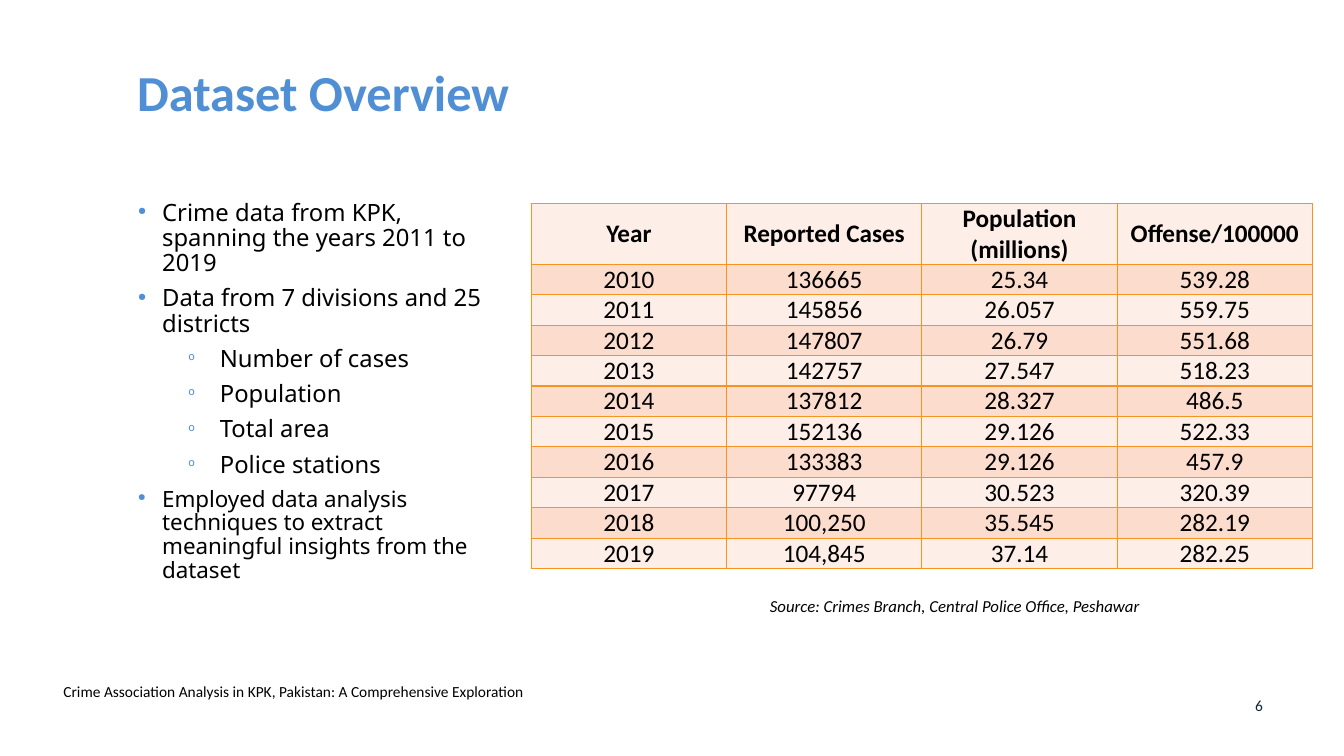
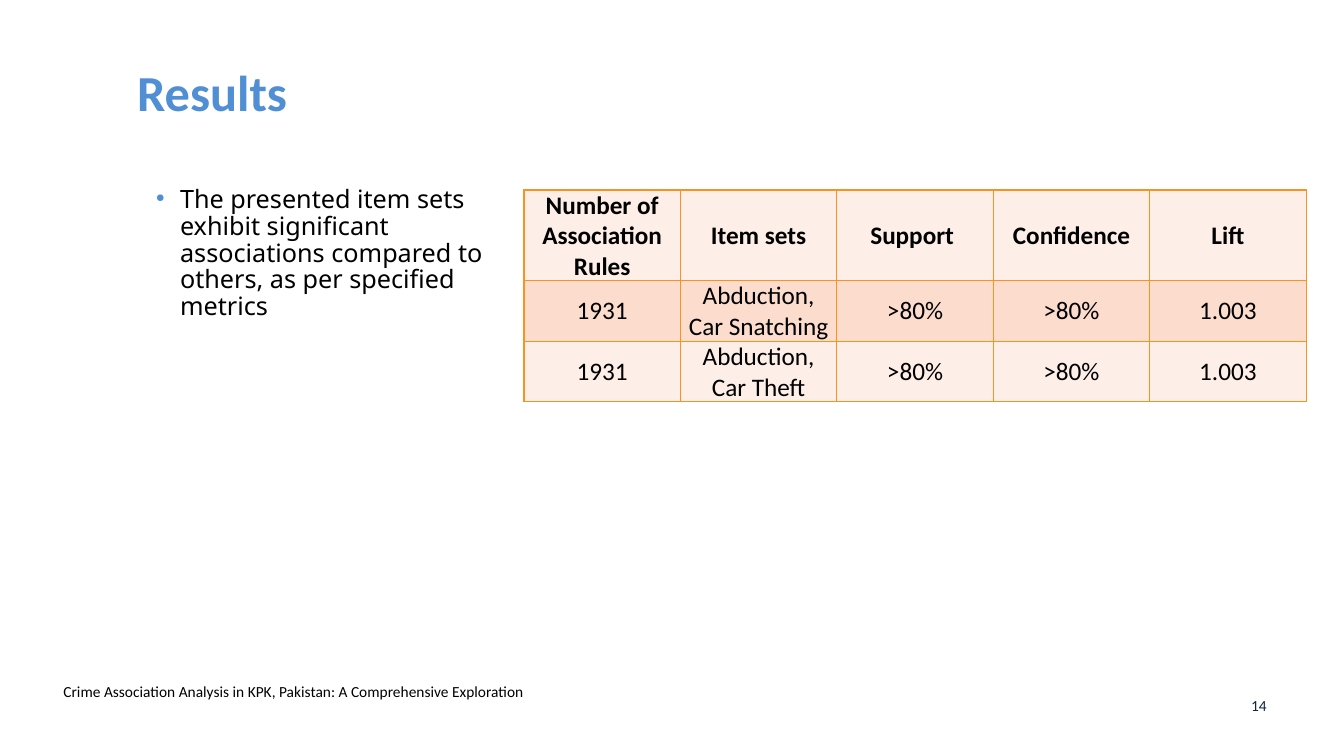
"""Build two slides on a crime dataset and its association results."""
from dataclasses import dataclass

from lxml import etree
from pptx import Presentation
from pptx import util as u
from pptx.dml.color import RGBColor
from pptx.enum import text as t
from pptx.oxml import ns

PX = 9525


@dataclass(frozen=True)
class Theme:
    """Colours, fonts and type sizes shared by the slides."""
    accent: str = "518FD5"
    ink: str = "000000"
    number: str = "0F253E"
    border: str = "F79320"
    bands: tuple = ("FDEEE8", "FCDCCD")
    font: str = "Calibri"
    body_font: str = "Noto Sans"
    title_size: int = 36
    table_size: int = 18
    note_size: int = 12
    footer_size: int = 11
    paragraph_gap: float = 7.2
    body_spacing: float = 0.88


THEME = Theme()
CENTER, LEFT = t.PP_ALIGN.CENTER, t.PP_ALIGN.LEFT
MIDDLE, TOP, BOTTOM = t.MSO_ANCHOR.MIDDLE, t.MSO_ANCHOR.TOP, t.MSO_ANCHOR.BOTTOM
BULLETS = (("●", 23, 23), ("o", 78, 30))
FOOTER = "Crime Association Analysis in KPK, Pakistan: A Comprehensive Exploration"

OVERVIEW_POINTS = [
    ("Crime data from KPK, spanning the years 2011 to 2019", 0, 17),
    ("Data from 7 divisions and 25 districts", 0, 17),
    ("Number of cases", 1, 17),
    ("Population", 1, 17),
    ("Total area", 1, 17),
    ("Police stations", 1, 17),
    ("Employed data analysis techniques to extract meaningful insights from the dataset", 0, 16),
]
RESULT_POINTS = [
    ("The presented item sets exhibit significant associations compared to others, "
     "as per specified metrics", 0, 18),
]
CRIME_ROWS = [
    ("Year", "Reported Cases", "Population (millions)", "Offense/100000"),
    ("2010", "136665", "25.34", "539.28"),
    ("2011", "145856", "26.057", "559.75"),
    ("2012", "147807", "26.79", "551.68"),
    ("2013", "142757", "27.547", "518.23"),
    ("2014", "137812", "28.327", "486.5"),
    ("2015", "152136", "29.126", "522.33"),
    ("2016", "133383", "29.126", "457.9"),
    ("2017", "97794", "30.523", "320.39"),
    ("2018", "100,250", "35.545", "282.19"),
    ("2019", "104,845", "37.14", "282.25"),
]
RULE_ROWS = [
    ("Number of Association Rules", "Item sets", "Support ", "Confidence", "Lift"),
    ("1931", "Abduction, Car Snatching", ">80%", ">80%", "1.003"),
    ("1931", "Abduction, Car Theft", ">80%", ">80%", "1.003"),
]


def px(*lengths):
    """Turn px lengths into EMU."""
    return [u.Emu(length * PX) for length in lengths]


def style(paragraph, size, color=THEME.ink, font=THEME.font, bold=False, italic=False, align=LEFT):
    """Format a paragraph and its runs."""
    paragraph.alignment = align
    for run in paragraph.runs:
        run.font.name = font
        run.font.size = u.Pt(size)
        run.font.bold = bold
        run.font.italic = italic
        run.font.color.rgb = RGBColor.from_string(color)


def add_child(parent, tag, **attributes):
    """Append a drawing element to its parent."""
    return etree.SubElement(parent, ns.qn(tag), attributes)


def add_label(slide, box, wording, size, anchor=MIDDLE, **look):
    """Add a text box with one styled paragraph."""
    frame = slide.shapes.add_textbox(*px(*box)).text_frame
    frame.word_wrap = True
    frame.vertical_anchor = anchor
    frame.text = wording
    style(frame.paragraphs[0], size, **look)
    return frame.paragraphs[0]


def add_bullets(slide, box, points):
    """Add a list of (wording, level, size) points."""
    frame = slide.shapes.add_textbox(*px(*box)).text_frame
    frame.word_wrap = True
    for index, (wording, level, size) in enumerate(points):
        point = frame.add_paragraph() if index else frame.paragraphs[0]
        point.text = wording
        point.level = level
        point.space_before = u.Pt(THEME.paragraph_gap)
        point.line_spacing = THEME.body_spacing
        style(point, size, font=THEME.body_font)
        mark, margin, hang = BULLETS[level]
        properties = point._p.get_or_add_pPr()
        properties.set("marL", str(margin * PX))
        properties.set("indent", str(-hang * PX))
        add_child(add_child(properties, "a:buClr"), "a:srgbClr", val=THEME.accent)
        add_child(properties, "a:buSzPct", val="45000")
        add_child(properties, "a:buChar", char=mark)


def add_borders(cell):
    """Draw a thin border on all four sides of a cell."""
    properties = cell._tc.get_or_add_tcPr()
    for side in ("a:lnL", "a:lnR", "a:lnT", "a:lnB"):
        line = add_child(properties, side, w=str(u.Pt(1)))
        add_child(add_child(line, "a:solidFill"), "a:srgbClr", val=THEME.border)


def add_banded_table(slide, left, top, column_width, rows, header_height=29, body_anchor=MIDDLE):
    """Add a bordered table whose rows alternate between the band colours."""
    row_height = 29
    columns = len(rows[0])
    height = header_height + row_height * (len(rows) - 1)
    box = px(left, top, column_width * columns, height)
    table = slide.shapes.add_table(len(rows), columns, *box).table
    for column in table.columns:
        column.width = px(column_width)[0]
    for r, values in enumerate(rows):
        table.rows[r].height = px(row_height if r else header_height)[0]
        for c, value in enumerate(values):
            cell = table.cell(r, c)
            add_borders(cell)
            cell.fill.solid()
            cell.fill.fore_color.rgb = RGBColor.from_string(THEME.bands[r % 2])
            cell.margin_left = cell.margin_right = px(3)[0]
            cell.margin_top = cell.margin_bottom = 0
            cell.vertical_anchor = body_anchor if r else MIDDLE
            cell.text_frame.text = value
            style(cell.text_frame.paragraphs[0], THEME.table_size, bold=r == 0, align=CENTER)


def add_titled_slide(deck, heading, number):
    """Add a slide with its title, footer and number."""
    slide = deck.slides.add_slide(deck.slide_layouts[5])
    title = slide.shapes.title
    title.left, title.top, title.width, title.height = px(121, 0, 612, 182)
    title.text_frame.text = heading
    title.text_frame.vertical_anchor = MIDDLE
    line = title.text_frame.paragraphs[0]
    line.line_spacing = 0.9
    style(line, THEME.title_size, color=THEME.accent, bold=True)
    add_label(slide, (51, 639, 562, 38), FOOTER, THEME.footer_size)
    add_label(slide, (1175, 653, 48, 38), number, THEME.footer_size,
              color=THEME.number, align=CENTER)
    return slide


def main():
    """Build and save the deck."""
    deck = Presentation()
    deck.slide_width, deck.slide_height = px(1280, 720)

    overview = add_titled_slide(deck, "Dataset Overview", "6")
    add_bullets(overview, (122, 187, 358, 419), OVERVIEW_POINTS)
    add_banded_table(overview, 506, 194, 186, CRIME_ROWS, header_height=40, body_anchor=BOTTOM)
    credit = add_label(overview, (617, 563, 585, 36),
                       "Source: Crimes Branch, Central Police Office, Peshawar",
                       THEME.note_size, anchor=TOP, italic=True, align=CENTER)
    credit.space_before = u.Pt(THEME.paragraph_gap)

    results = add_titled_slide(deck, "Results", "14")
    add_bullets(results, (139, 174, 343, 175), RESULT_POINTS)
    add_banded_table(results, 499, 181, 149, RULE_ROWS)

    deck.save("out.pptx")


if __name__ == "__main__":
    main()
